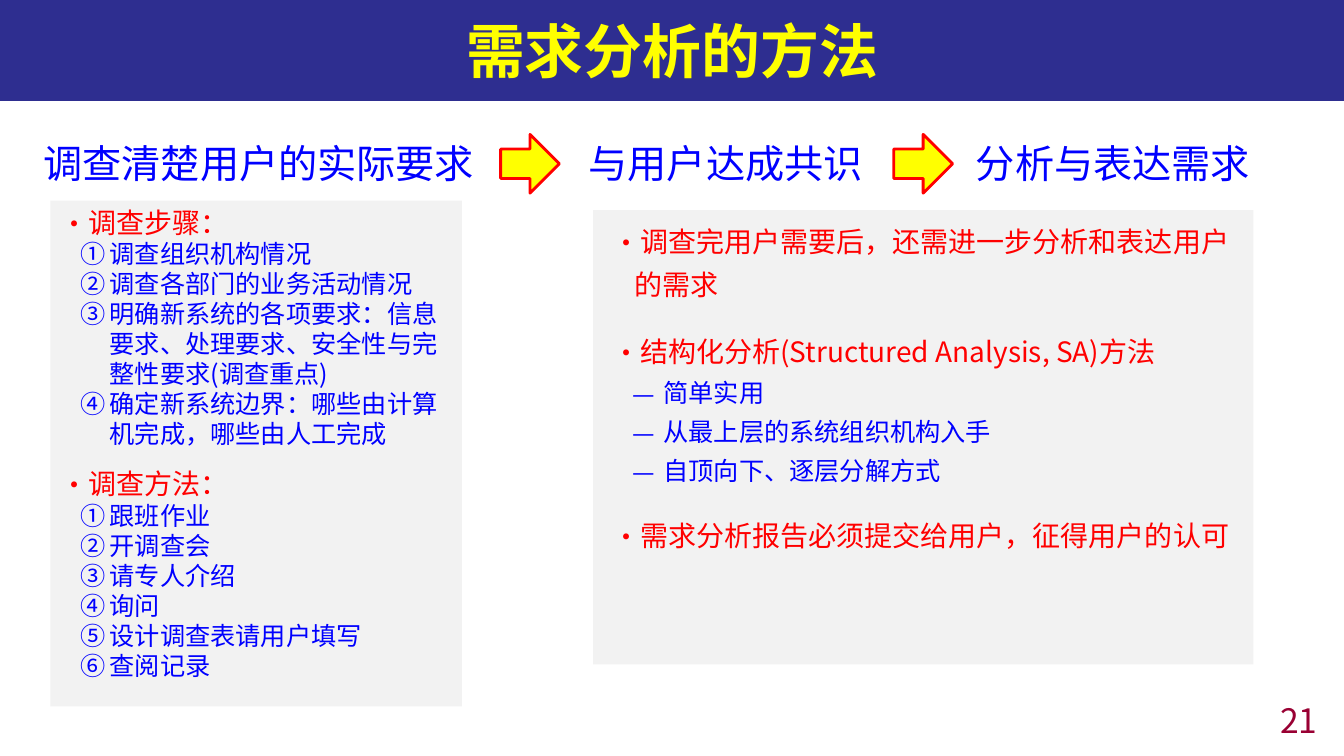
from lxml import etree
from pptx import Presentation
from pptx.dml.color import RGBColor
from pptx.enum.shapes import MSO_SHAPE
from pptx.enum.text import MSO_ANCHOR, PP_ALIGN
from pptx.oxml.ns import qn
from pptx.util import Inches, Pt

RECT, ARROW = MSO_SHAPE.RECTANGLE, MSO_SHAPE.RIGHT_ARROW
TOP, MIDDLE = MSO_ANCHOR.TOP, MSO_ANCHOR.MIDDLE
LEFT, CENTER, RIGHT = PP_ALIGN.LEFT, PP_ALIGN.CENTER, PP_ALIGN.RIGHT
FONT = "Noto Sans CJK SC"
COLS, ROWS = 160, 90
WIDTH, HEIGHT = Inches(13.33), Inches(7.5)
LINE_HEIGHT = 1.19
COLORS = {
    "band": "000078", "title": "FFFF00", "number": "990033",
    "blue": "0000FF", "red": "FF0000", "arrow": "FFFF00", "panel": "F2F2F2",
}
HEADINGS = [
    ("调查清楚用户的实际要求", 4, 55.3),
    ("与用户达成共识", 68.9, 36.5),
    ("分析与表达需求", 115, 35.4),
]
SURVEY = [
    ("调查步骤：", [
        "调查组织机构情况",
        "调查各部门的业务活动情况",
        "明确新系统的各项要求：信息要求、处理要求、安全性与完整性要求(调查重点)",
        "确定新系统边界：哪些由计算机完成，哪些由人工完成",
    ]),
    ("调查方法：", [
        "跟班作业", "开调查会", "请专人介绍", "询问", "设计调查表请用户填写", "查阅记录",
    ]),
]
ANALYSIS = [
    ("调查完用户需要后，还需进一步分析和表达用户的需求", []),
    ("结构化分析(Structured Analysis, SA)方法", [
        "简单实用", "从最上层的系统组织机构入手", "自顶向下、逐层分解方式",
    ]),
    ("需求分析报告必须提交给用户，征得用户的认可", []),
]


def rgb(name):
    """Return a named colour."""
    return RGBColor.from_string(COLORS[name])


def grid(col, row, cols, rows):
    """Turn grid units into left, top, width and height."""
    return (int(WIDTH * col / COLS), int(HEIGHT * row / ROWS),
            int(WIDTH * cols / COLS), int(HEIGHT * rows / ROWS))


def add_run(p, text, size, color, bold=False):
    """Add a formatted run to a paragraph."""
    r = p.add_run()
    r.text = text
    r.font.size, r.font.bold, r.font.name = Pt(size), bold, FONT
    r.font.color.rgb = rgb(color)
    etree.SubElement(r.font._element, qn("a:ea"), typeface=FONT)


def add_bullet(p, margin, hang, tag, **attrs):
    """Give a paragraph a hanging indent and a bullet."""
    pPr = p._p.get_or_add_pPr()
    pPr.set("marL", str(Inches(margin)))
    pPr.set("indent", str(-Inches(hang)))
    etree.SubElement(pPr, qn("a:buFont"), typeface=FONT)
    etree.SubElement(pPr, qn(tag), **attrs)


def add_label(slide, box, text, size, color, align=LEFT):
    """Add a single-line text box."""
    tf = slide.shapes.add_textbox(*grid(*box)).text_frame
    tf.word_wrap, tf.vertical_anchor = True, MIDDLE
    p = tf.paragraphs[0]
    p.alignment = align
    add_run(p, text, size, color)


def add_block(slide, kind, box, fill, line=None):
    """Add a filled shape, outlined if a line colour is given."""
    sp = slide.shapes.add_shape(kind, *grid(*box))
    sp.shadow.inherit = False
    sp.fill.solid()
    sp.fill.fore_color.rgb = rgb(fill)
    if line:
        sp.line.color.rgb, sp.line.width = rgb(line), Pt(2)
    else:
        sp.line.fill.background()
    return sp


def add_panel(slide, box, topics, topic_bullet, item_bullet, spacing, gap):
    """Add a grey panel of red topics with blue items."""
    tf = add_block(slide, RECT, box, "panel").text_frame
    tf.word_wrap, tf.vertical_anchor = True, TOP
    p = tf.paragraphs[0]
    for n, (topic, items) in enumerate(topics):
        lines = [(topic, 20, "red", topic_bullet)]
        lines += [(item, 18, "blue", item_bullet) for item in items]
        for i, (text, size, color, (margin, hang, tag, attrs)) in enumerate(lines):
            if n or i:
                p = tf.add_paragraph()
            p.alignment = LEFT
            p.line_spacing = Pt(round(size * LINE_HEIGHT * spacing, 1))
            p.space_before = Pt(gap if n and not i else 0)
            add_bullet(p, margin, hang, tag, **attrs)
            add_run(p, text, size, color)


def add_title(slide, text):
    """Format the title placeholder as a band across the top."""
    sp = slide.shapes.title
    sp.left, sp.top, sp.width, sp.height = grid(0, 0, COLS, 12)
    sp.fill.solid()
    sp.fill.fore_color.rgb = rgb("band")
    color = sp._element.spPr.find(".//" + qn("a:srgbClr"))
    etree.SubElement(color, qn("a:alpha"), val="82000")
    tf = sp.text_frame
    tf.vertical_anchor = MIDDLE
    p = tf.paragraphs[0]
    p.alignment = CENTER
    add_run(p, text, 42, "title", bold=True)


def main():
    """Build and save the slide."""
    prs = Presentation()
    prs.slide_width, prs.slide_height = WIDTH, HEIGHT
    s = prs.slides.add_slide(prs.slide_layouts[5])
    add_title(s, "需求分析的方法")
    add_label(s, (124, 83.9, 34, 3.7), "21", 24, "number", RIGHT)
    for text, col, cols in HEADINGS:
        add_label(s, (col, 16, cols, 6.8), text, 28, "blue")
    for col in (59.6, 106.4):
        add_block(s, ARROW, (col, 16, 7, 7), "arrow", "red")
    dot, dash = {"char": "•"}, {"char": "—"}
    circled = {"type": "circleNumDbPlain"}
    add_panel(s, (6, 23.9, 49, 60.2), SURVEY, (0.19, 0.19, "a:buChar", dot),
              (0.49, 0.29, "a:buAutoNum", circled), 1, 13)
    add_panel(s, (70.6, 25, 78.6, 54.1), ANALYSIS, (0.31, 0.22, "a:buChar", dot),
              (0.6, 0.31, "a:buChar", dash), 1.3, 17)
    prs.save("out.pptx")


if __name__ == "__main__":
    main()
